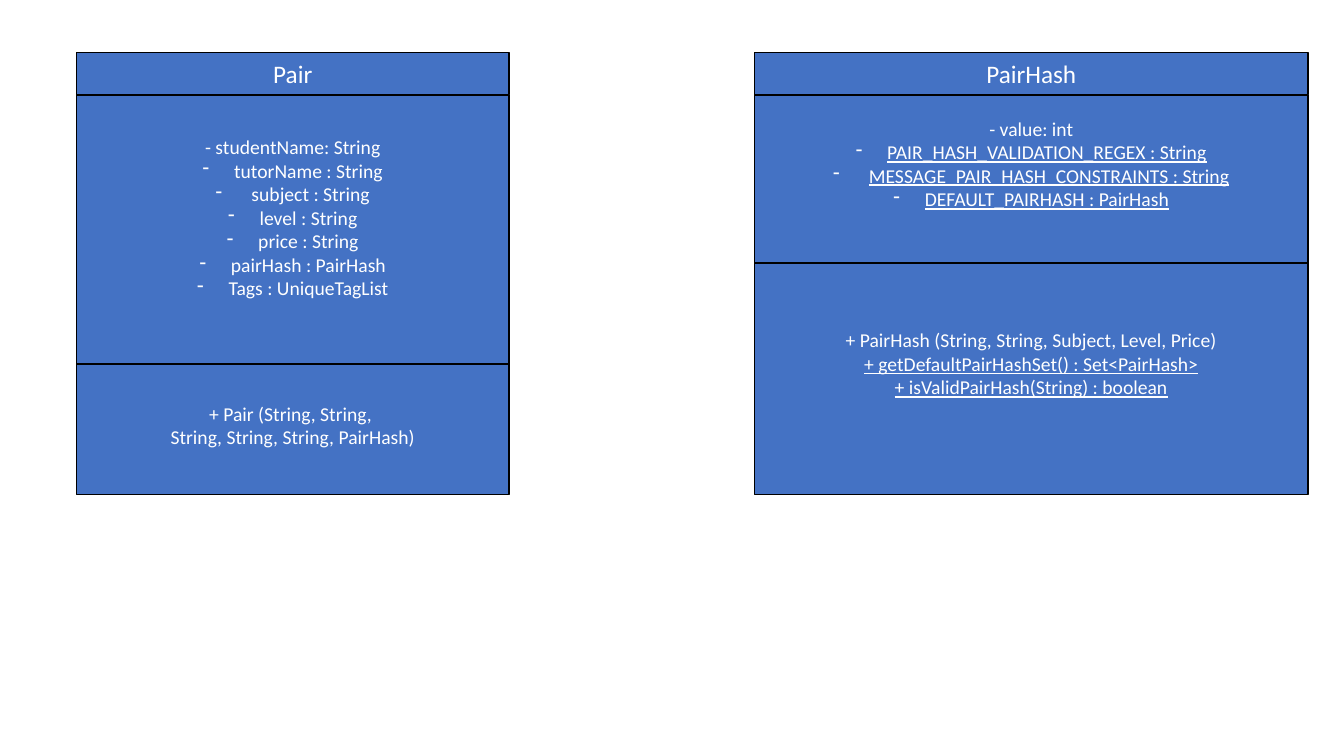
from lxml.etree import SubElement
from pptx import Presentation
from pptx.dml.color import RGBColor
from pptx.enum.shapes import MSO_SHAPE
from pptx.enum.text import MSO_ANCHOR, PP_ALIGN
from pptx.oxml.ns import qn
from pptx.util import Cm, Pt


def color(code):
    return RGBColor.from_string(code)


def write(para, text, size=14, under=False, dash=False, lead=""):
    """Fill one centred paragraph; lead is a plain run before the text."""
    para.alignment = PP_ALIGN.CENTER
    if dash:
        props = para._p.get_or_add_pPr()
        props.set("marL", str(Cm(0.79)))
        props.set("indent", str(-Cm(0.79)))
        SubElement(props, qn("a:buFontTx"))
        SubElement(props, qn("a:buChar"), char="-")
    for part, line in ((lead, False), (text, under)):
        if part:
            run = para.add_run()
            run.text = part
            font = run.font
            font.name, font.size, font.underline = "Calibri", Pt(size), line
            font.color.rgb = color("FFFFFF")


class Chart:
    fill, edge = "4472C4", "000000"
    top = 1.32

    def __init__(self, slide):
        self.slide = slide

    def box(self, left, top, width, height, rows, lift=0):
        """Draw a compartment; lift is extra room kept below its text."""
        shape = self.slide.shapes.add_shape(
            MSO_SHAPE.RECTANGLE, Cm(left), Cm(top), Cm(width), Cm(height))
        shape.shadow.inherit = False
        shape.fill.solid()
        shape.fill.fore_color.rgb = color(self.fill)
        shape.line.color.rgb = color(self.edge)
        shape.line.width = Pt(1)
        frame = shape.text_frame
        frame.word_wrap = True
        frame.vertical_anchor = MSO_ANCHOR.MIDDLE
        frame.margin_bottom = Cm(0.13 + lift)
        for i, (text, style) in enumerate(rows):
            para = frame.add_paragraph() if i else frame.paragraphs[0]
            write(para, text, **style)

    def table(self, left, width, parts):
        """Stack the compartments of one class from the top down."""
        top = self.top
        for height, lift, rows in parts:
            self.box(left, top, width, height, rows, lift)
            top += height


def main():
    deck = Presentation()
    deck.slide_width, deck.slide_height = Cm(33.87), Cm(19.05)
    chart = Chart(deck.slides.add_slide(deck.slide_layouts[6]))

    title = {"size": 18}
    plain = {}
    item = {"dash": True}
    static = {"under": True}
    const = {"dash": True, "under": True}

    # Pair class
    chart.table(1.93, 10.9, [
        (1.07, 0, [("Pair", title)]),
        (6.78, 0.6, [
            ("- studentName: String", plain),
            ("tutorName : String", item),
            ("subject : String", {**item, "lead": " "}),
            ("level : String", item),
            ("price : String", item),
            ("pairHash : PairHash", item),
            ("Tags : UniqueTagList", item)]),
        (3.3, 0.2, [
            ("+ Pair (String, String, ", plain),
            ("String, String, String, PairHash)", plain)]),
    ])

    # PairHash class
    chart.table(19.02, 13.94, [
        (1.07, 0, [("PairHash", title)]),
        (4.24, 0.77, [
            ("- value: int", plain),
            ("PAIR_HASH_VALIDATION_REGEX : String", const),
            ("MESSAGE_PAIR_HASH_CONSTRAINTS : String",
             {**const, "lead": " "}),
            ("DEFAULT_PAIRHASH : PairHash", const)]),
        (5.84, 0.77, [
            ("+ PairHash (String, String, Subject, Level, Price)", plain),
            ("+ getDefaultPairHashSet() : Set<PairHash>", static),
            ("+ isValidPairHash(String) : boolean", static)]),
    ])

    deck.save("out.pptx")


if __name__ == "__main__":
    main()
